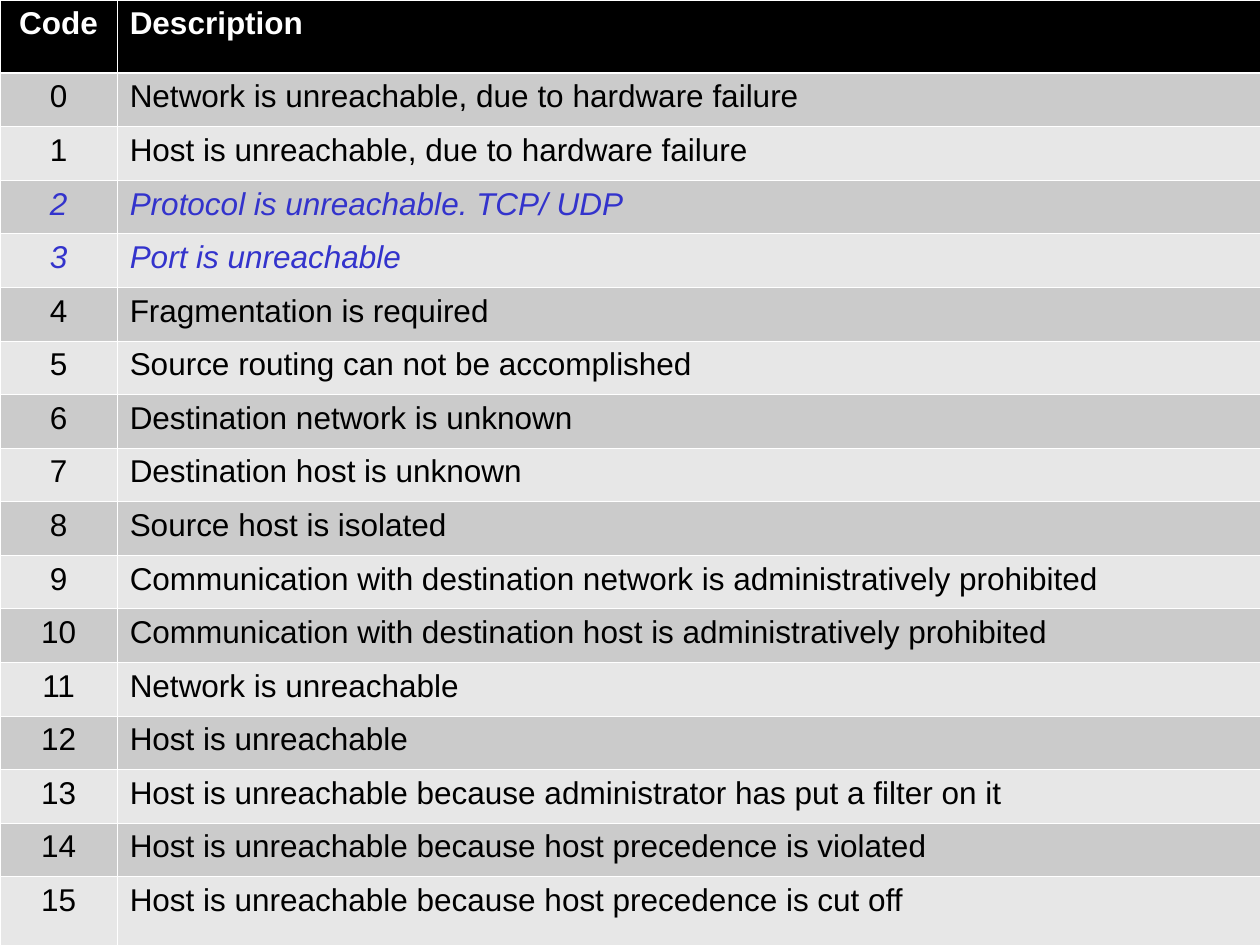
from lxml.etree import SubElement
from pptx import Presentation
from pptx.dml.color import RGBColor
from pptx.enum.text import PP_ALIGN
from pptx.oxml.ns import qn
from pptx.util import Inches, Pt

COLORS = {
    "header": "000000",
    "header_text": "FFFFFF",
    "odd_row": "CBCBCB",
    "even_row": "E7E7E7",
    "text": "000000",
    "highlight": "3333CC",
    "border": "FFFFFF",
}
HEADINGS = ("Code", "Description")
DESCRIPTIONS = [
    "Network is unreachable, due to hardware failure",
    "Host is unreachable, due to hardware failure",
    "Protocol is unreachable. TCP/ UDP",
    "Port is unreachable",
    "Fragmentation is required",
    "Source routing can not be accomplished",
    "Destination network is unknown",
    "Destination host is unknown",
    "Source host is isolated",
    "Communication with destination network is administratively prohibited",
    "Communication with destination host is administratively prohibited",
    "Network is unreachable",
    "Host is unreachable",
    "Host is unreachable because administrator has put a filter on it",
    "Host is unreachable because host precedence is violated",
    "Host is unreachable because host precedence is cut off",
]
HIGHLIGHTED_CODES = (2, 3)
COLUMN_WIDTHS = (0.93, 9.07)
TABLE_HEIGHT = 7.66
HEADER_HEIGHT = 0.58
LAST_HEIGHT = 0.7
THIN, THICK = 0.45, 1.47


def add_borders(cell, top, bottom):
    properties = cell._tc.get_or_add_tcPr()
    for side, width in (("L", THIN), ("R", THIN), ("T", top), ("B", bottom)):
        border = SubElement(properties, qn(f"a:ln{side}"), w=str(Pt(width)))
        fill = SubElement(border, qn("a:solidFill"))
        SubElement(fill, qn("a:srgbClr"), val=COLORS["border"])


def row_style(row):
    code = row - 1
    if row == 0:
        return "header", "header_text", THIN, THICK
    fill = "odd_row" if row % 2 else "even_row"
    text = "highlight" if code in HIGHLIGHTED_CODES else "text"
    return fill, text, THICK if row == 1 else THIN, THIN


def fill_cell(cell, text, row, column):
    fill, text_color, top, bottom = row_style(row)
    add_borders(cell, top, bottom)
    cell.fill.solid()
    cell.fill.fore_color.rgb = RGBColor.from_string(COLORS[fill])
    cell.margin_left = cell.margin_right = Inches(0.1)
    cell.margin_top = cell.margin_bottom = Inches(0.05)
    cell.text = text
    paragraph = cell.text_frame.paragraphs[0]
    paragraph.alignment = PP_ALIGN.LEFT if column else PP_ALIGN.CENTER
    font = paragraph.font
    font.name = "Arial"
    font.size = Pt(18)
    font.bold = row == 0
    font.italic = text_color == "highlight"
    font.color.rgb = RGBColor.from_string(COLORS[text_color])


def add_code_table(slide):
    entries = [HEADINGS] + [(str(code), text) for code, text in enumerate(DESCRIPTIONS)]
    table = slide.shapes.add_table(
        len(entries), len(HEADINGS), 0, 0, Inches(10), Inches(TABLE_HEIGHT)
    ).table
    for column, width in zip(table.columns, COLUMN_WIDTHS):
        column.width = Inches(width)
    middle_count = len(entries) - 2
    middle_height = (TABLE_HEIGHT - HEADER_HEIGHT - LAST_HEIGHT) / middle_count
    heights = [HEADER_HEIGHT] + [middle_height] * middle_count + [LAST_HEIGHT]
    for row, (entry, height) in enumerate(zip(entries, heights)):
        table.rows[row].height = Inches(height)
        for column, text in enumerate(entry):
            fill_cell(table.cell(row, column), text, row, column)


def main():
    presentation = Presentation()
    presentation.slide_width = Inches(10)
    presentation.slide_height = Inches(7.5)
    slide = presentation.slides.add_slide(presentation.slide_layouts[6])
    add_code_table(slide)
    presentation.save("out.pptx")


if __name__ == "__main__":
    main()
